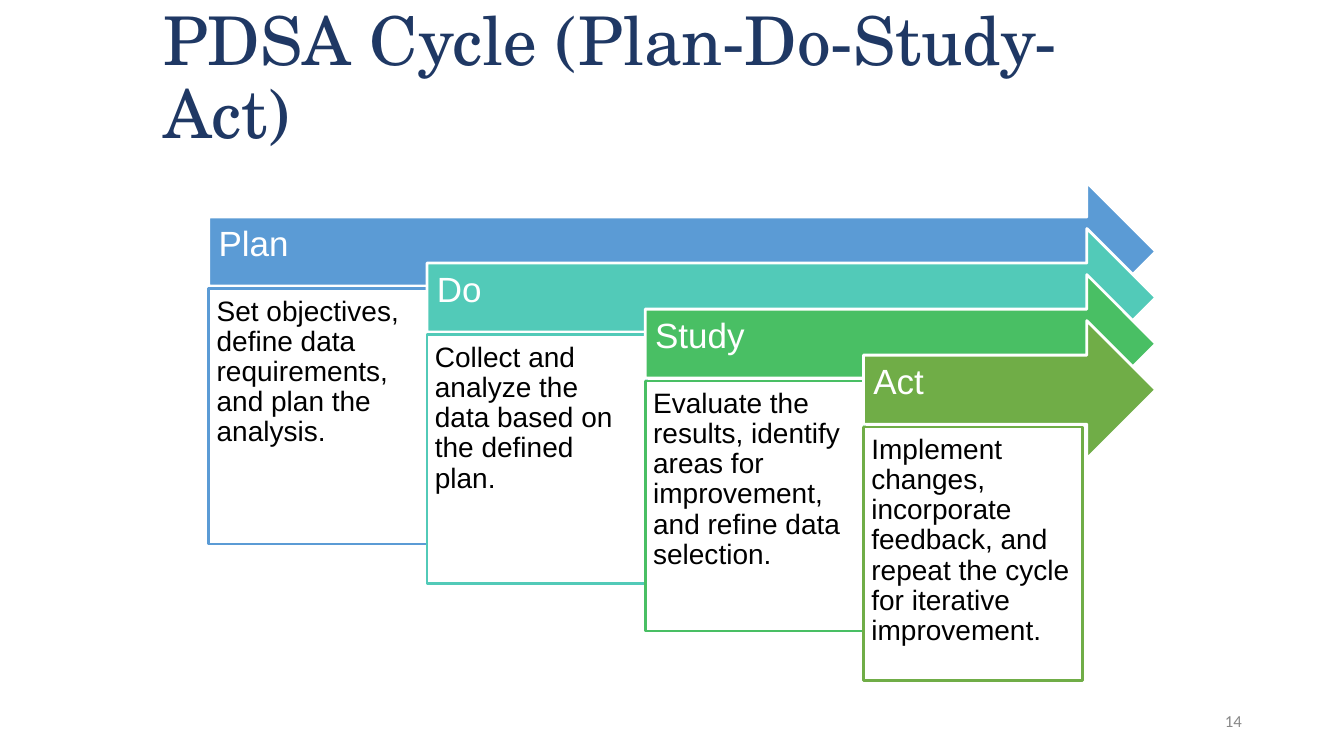
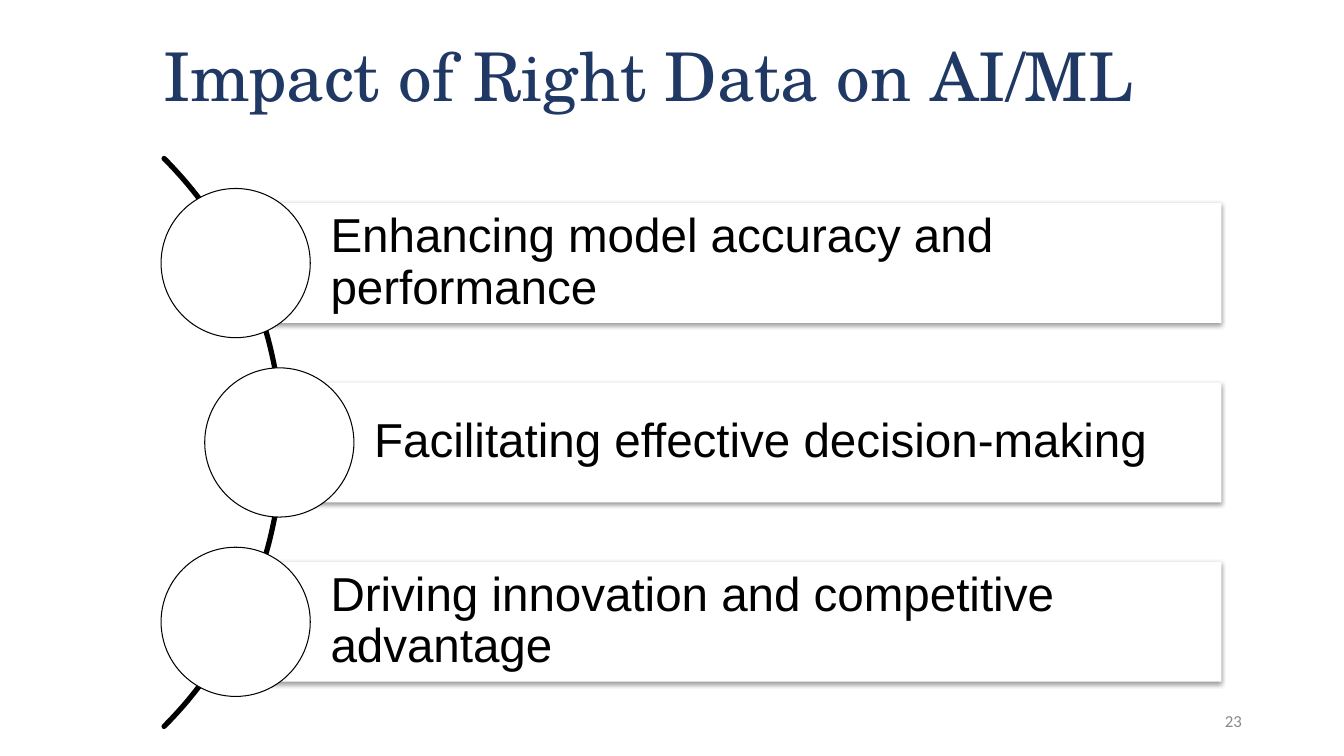
import math
from dataclasses import dataclass

import lxml.etree
import pptx
import pptx.dml.color
import pptx.enum.shapes
import pptx.enum.text
import pptx.oxml
import pptx.oxml.ns
import pptx.util

Cm = pptx.util.Cm
SHAPE = pptx.enum.shapes.MSO_SHAPE
ANCHOR = pptx.enum.text.MSO_ANCHOR
ALIGN = pptx.enum.text.PP_ALIGN


@dataclass(frozen=True)
class Theme:
    navy: str = "1F3864"
    gray: str = "888888"
    black: str = "000000"
    white: str = "FFFFFF"
    steps: tuple = ("5B9BD5", "52CAB8", "49BF64", "70AD47")
    title_font: str = "TeX Gyre Schola"
    body_font: str = "Arial"
    number_font: str = "Calibri"
    title_size: int = 48
    number_size: int = 12
    arrow_size: int = 25
    step_size: int = 20
    impact_size: int = 34


theme = Theme()

# Text formats: font, size, colour, alignment, line spacing, anchor,
# and insets (left, top, right, bottom) in cm
FORMATS = {
    "title": (theme.title_font, theme.title_size, theme.navy,
              ALIGN.LEFT, 0.9, ANCHOR.MIDDLE, (0.25, 0.13, 0.25, 0.13)),
    "number": (theme.number_font, theme.number_size, theme.gray,
               ALIGN.RIGHT, 1.0, ANCHOR.MIDDLE, (0.25, 0.13, 0.25, 0.13)),
    "arrow": (theme.body_font, theme.arrow_size, theme.white,
              ALIGN.LEFT, 0.9, ANCHOR.MIDDLE, (0.25, 0.25, 0.71, 0.56)),
    "step": (theme.body_font, theme.step_size, theme.black,
             ALIGN.LEFT, 0.9, ANCHOR.TOP, (0.2, 0.2, 0.2, 0.2)),
    "impact": (theme.body_font, theme.impact_size, theme.black,
               ALIGN.LEFT, 0.9, ANCHOR.MIDDLE, (2.39, 0.23, 0.23, 0.23)),
}


def write_text(shape, text, format_name):
    font, size, color, align, spacing, anchor, insets = FORMATS[format_name]
    frame = shape.text_frame
    frame_values = {
        "word_wrap": True,
        "auto_size": pptx.enum.text.MSO_AUTO_SIZE.NONE,
        "vertical_anchor": anchor,
    }
    for side, inset in zip(("left", "top", "right", "bottom"), insets):
        frame_values[f"margin_{side}"] = Cm(inset)
    para = frame.paragraphs[0]
    span = para.add_run()
    span.text = text
    for target, values in (
        (frame, frame_values),
        (para, {"alignment": align, "line_spacing": spacing}),
        (span.font, {"name": font, "size": pptx.util.Pt(size)}),
    ):
        for name, value in values.items():
            setattr(target, name, value)
    span.font.color.rgb = pptx.dml.color.RGBColor.from_string(color)


def add_block(page, kind, place, fill, line=None, width=2):
    block = page.shapes.add_shape(kind, *(Cm(length) for length in place))
    block.shadow.inherit = False
    block.fill.solid()
    block.fill.fore_color.rgb = pptx.dml.color.RGBColor.from_string(fill)
    if line:
        block.line.color.rgb = pptx.dml.color.RGBColor.from_string(line)
        block.line.width = pptx.util.Pt(width)
    else:
        block.line.fill.background()
    return block


# Deck with a title and a page number on each slide
deck = pptx.Presentation()
deck.slide_width, deck.slide_height = Cm(33.87), Cm(19.05)
layout = deck.slide_layouts.get_by_name("Title Only")
pages = []
for title, number in (
    ("PDSA Cycle (Plan-Do-Study-Act)", "14"),
    ("Impact of Right Data on AI/ML", "23"),
):
    page = deck.slides.add_slide(layout)
    heading = page.shapes.title
    heading.left, heading.top = Cm(3.86), Cm(0.18)
    heading.width, heading.height = Cm(25.83), Cm(3.68)
    write_text(heading, title, "title")
    number_box = page.shapes.add_textbox(Cm(23.93), Cm(17.65), Cm(7.62), Cm(1.02))
    write_text(number_box, number, "number")
    pages.append(page)
cycle_page, impact_page = pages

# Cycle: staggered arrows sharing one right edge, each with a box below
STEPS = (
    ("Plan", "Set objectives, define data requirements, and plan the analysis.", 6.43),
    ("Do", "Collect and analyze the data based on the defined plan.", 6.27),
    ("Study", "Evaluate the results, identify areas for improvement, "
              "and refine data selection.", 6.3),
    ("Act", "Implement changes, incorporate feedback, and repeat the cycle "
            "for iterative improvement.", 6.38),
)
ARROW_RIGHT = 29.13
for index, (name, detail, box_height) in enumerate(STEPS):
    color = theme.steps[index]
    left = 5.26 + 5.5 * index
    top = 4.6 + 1.16 * index
    arrow = add_block(cycle_page, SHAPE.RIGHT_ARROW,
                      (left, top, ARROW_RIGHT - left, 3.48), color, theme.white)
    write_text(arrow, name, "arrow")
    box = add_block(cycle_page, SHAPE.RECTANGLE,
                    (left, top + 2.68, 5.53, box_height), theme.white, color)
    write_text(box, detail, "step")

# Impact: arc behind the circles
ARC_X, ARC_Y, ARC_RADIUS = -3.02, 11.15, 10.12
arc_points = [
    (Cm(ARC_X + ARC_RADIUS * math.cos(math.radians(angle))),
     Cm(ARC_Y + ARC_RADIUS * math.sin(math.radians(angle))))
    for angle in range(-45, 46)
]
builder = impact_page.shapes.build_freeform(*arc_points[0])
builder.add_line_segments(arc_points[1:], close=False)
arc = builder.convert_to_shape()
arc.shadow.inherit = False
arc.fill.background()
arc.line.color.rgb = pptx.dml.color.RGBColor.from_string(theme.black)
arc.line.width = pptx.util.Pt(3.75)
arc.element.spPr.find(pptx.oxml.ns.qn("a:ln")).set("cap", "rnd")

# Impact: bars with a soft shadow, each starting at the centre of its circle
IMPACTS = (
    ("Enhancing model accuracy and performance", 5.94),
    ("Facilitating effective decision-making", 7.04),
    ("Driving innovation and competitive advantage", 5.94),
)
BAR_RIGHT, BAR_HEIGHT, CIRCLE_SIZE = 30.78, 3.02, 3.76
SHADOW = (
    f'<a:outerShdw xmlns:a="{pptx.oxml.ns.nsdecls("a").split(chr(34))[1]}" '
    'blurRad="40000" dist="20000" dir="5400000" rotWithShape="0">'
    f'<a:srgbClr val="{theme.black}"><a:alpha val="38000"/></a:srgbClr>'
    '</a:outerShdw>'
)
for index, (impact, center_x) in enumerate(IMPACTS):
    center_y = ARC_Y + 4.52 * (index - 1)
    bar = add_block(impact_page, SHAPE.RECTANGLE,
                    (center_x, center_y - BAR_HEIGHT / 2,
                     BAR_RIGHT - center_x, BAR_HEIGHT), theme.white)
    effects = bar.element.spPr.find(pptx.oxml.ns.qn("a:effectLst"))
    effects.append(lxml.etree.fromstring(SHADOW))
    write_text(bar, impact, "impact")
    add_block(impact_page, SHAPE.OVAL,
              (center_x - CIRCLE_SIZE / 2, center_y - CIRCLE_SIZE / 2,
               CIRCLE_SIZE, CIRCLE_SIZE), theme.white, theme.black, 0.75)

deck.save("out.pptx")
